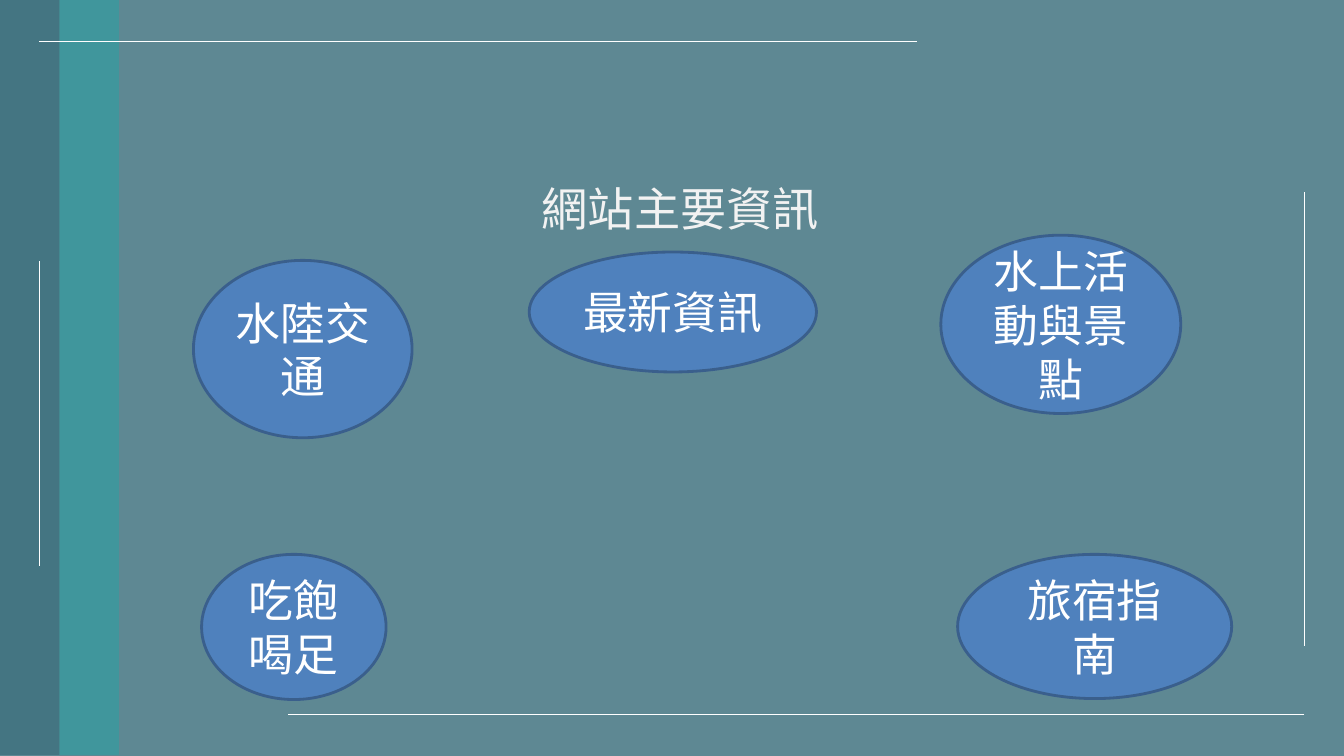
import pptx
import pptx.util
import pptx.dml.color
import pptx.enum.shapes
import pptx.enum.text
import pptx.oxml
import pptx.oxml.ns
import lxml.etree

Pt = pptx.util.Pt
RGB = pptx.dml.color.RGBColor.from_string
SHAPE = pptx.enum.shapes.MSO_SHAPE
COLORS = {
    "deep": "014355", "teal": "20A7A7", "white": "FFFFFF",
    "title": "F2F2F2", "oval": "4F81BD", "edge": "3A5F8C",
}


def write_text(sp, text, size=32, font="Cambria", color="white"):
    tf = sp.text_frame
    tf.word_wrap = True
    tf.auto_size = pptx.enum.text.MSO_AUTO_SIZE.NONE
    tf.vertical_anchor = pptx.enum.text.MSO_ANCHOR.MIDDLE
    p = tf.paragraphs[0]
    p.alignment = pptx.enum.text.PP_ALIGN.CENTER
    r = p.add_run()
    r.text = text
    r.font.size = Pt(size)
    r.font.name = font
    r.font.color.rgb = RGB(COLORS[color])
    return tf


def add_filled(kind, box, color):
    sp = s.shapes.add_shape(kind, *map(Pt, box))
    sp.shadow.inherit = False
    sp.fill.solid()
    sp.fill.fore_color.rgb = RGB(COLORS[color])
    return sp


prs = pptx.Presentation()
prs.slide_width, prs.slide_height = Pt(960), Pt(540)
s = prs.slides.add_slide(prs.slide_layouts[5])
title = s.shapes.title

# Translucent backdrop and side bands
qn = pptx.oxml.ns.qn
bands = [
    ((0, 0, 960, 540), "deep", 63),
    ((42.5, 0, 42.5, 539.3), "teal", 47),
    ((0, 0, 42.5, 539.3), "deep", 27),
]
for box, color, opacity in bands:
    sp = add_filled(SHAPE.RECTANGLE, box, color)
    sp.line.fill.background()
    clr = sp.fill._xPr.find(".//" + qn("a:srgbClr"))
    lxml.etree.SubElement(clr, qn("a:alpha"), val=str(opacity * 1000))

# Thin frame lines
frame = [
    (931.7, 137.5, 931.7, 461.5),
    (931.7, 510.5, 205.9, 510.5),
    (28.1, 29.5, 655.2, 29.5),
    (28.1, 186.5, 28.1, 404.6),
]
for ends in frame:
    line = s.shapes.add_connector(
        pptx.enum.shapes.MSO_CONNECTOR.STRAIGHT, *map(Pt, ends))
    line.line.color.rgb = RGB(COLORS["white"])
    line.line.width = Pt(0.75)
    lxml.etree.SubElement(line._element.spPr, qn("a:effectLst"))

# Title, brought in front of the backdrop
s.shapes._spTree.append(title._element)
title.left, title.top, title.width, title.height = map(Pt, (239, 121, 494, 55.4))
tf = write_text(title, "網站主要資訊", size=33, font="Arial", color="title")
tf.margin_left = tf.margin_right = tf.margin_top = tf.margin_bottom = Pt(7.2)

# Topic ovals
topics = [
    ("吃飽喝足", (144, 396, 131.8, 103.7)),
    ("水上活動與景點", (672, 168, 171.4, 127.4)),
    ("最新資訊", (378, 180, 205.2, 85.7)),
    ("水陸交通", (138.2, 186, 156.2, 126.7)),
    ("旅宿指南", (684, 396, 195.8, 103)),
]
for text, box in topics:
    sp = add_filled(SHAPE.OVAL, box, "oval")
    sp.line.color.rgb = RGB(COLORS["edge"])
    sp.line.width = Pt(2)
    write_text(sp, text)

prs.save("out.pptx")
